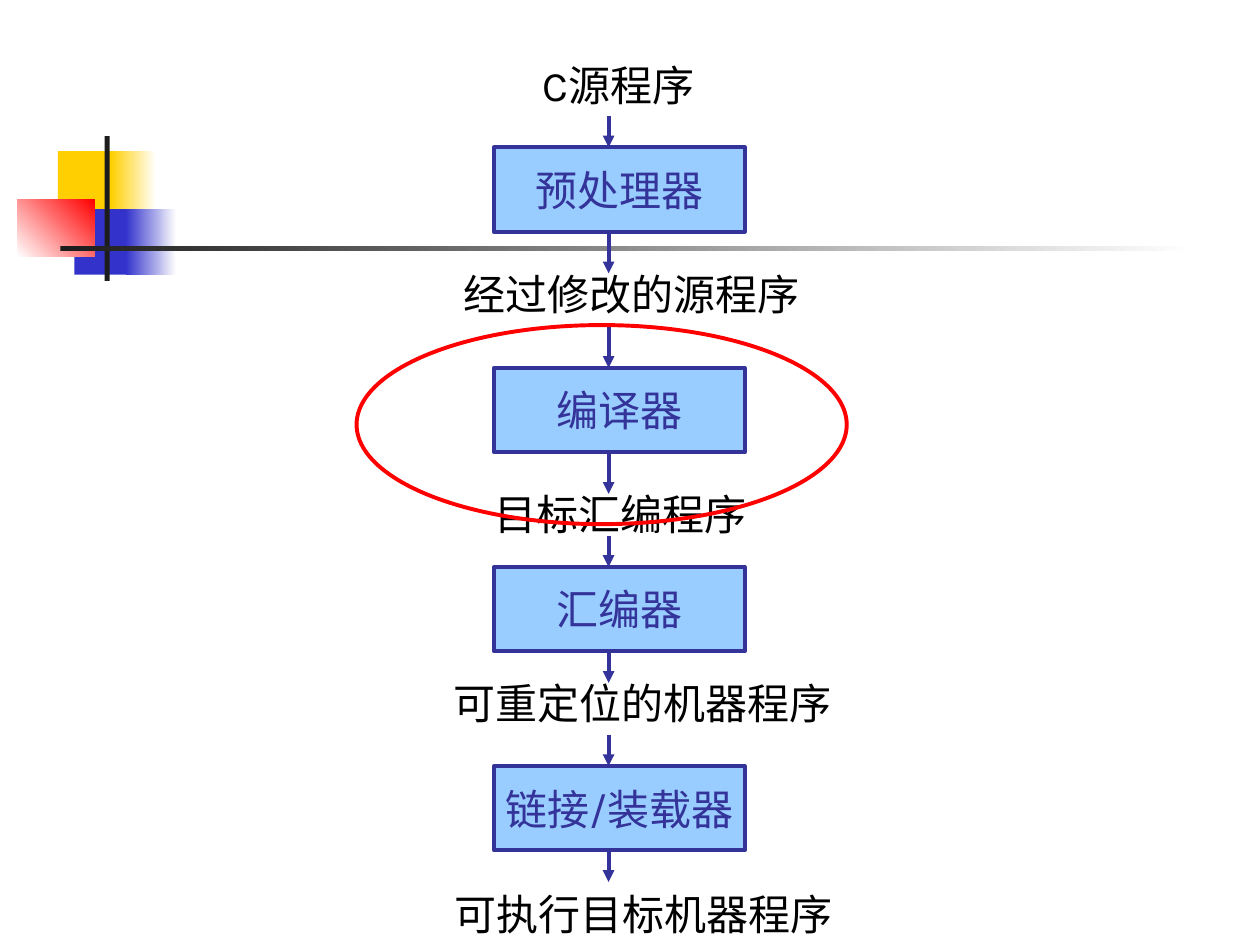
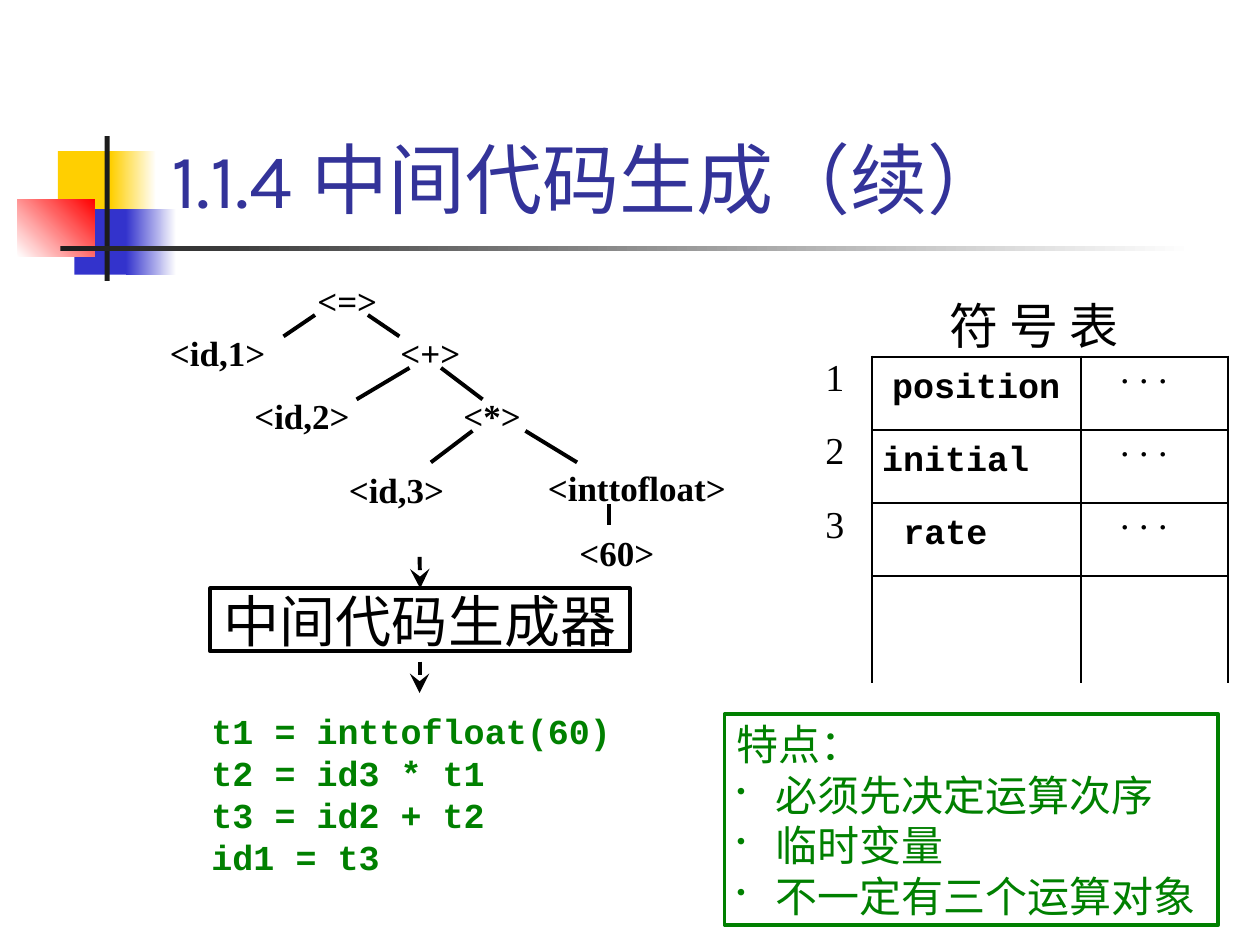
"""Build two slides on compilation: the tool chain and intermediate code generation."""
from lxml.etree import SubElement
from pptx import Presentation
from pptx.dml.color import RGBColor
from pptx.enum.shapes import MSO_CONNECTOR, MSO_SHAPE
from pptx.enum.text import MSO_ANCHOR, MSO_AUTO_SIZE, PP_ALIGN
from pptx.oxml.ns import qn
from pptx.util import Inches, Pt

rgb = RGBColor.from_string
NAVY, BLACK, WHITE, GREEN = "333399", "000000", "FFFFFF", "008000"
YELLOW, BLUE, RED, INK, SKY = "FFCF01", "3333CC", "FF0000", "1C1C1C", "99CCFF"
BODY, SERIF, MONO, HAN = "Karla", "Times New Roman", "Courier New", "Noto Sans CJK SC"


def write(tf, lines, font, size, color, bold=False, frame=None, para=None):
    """Fill a text frame with one paragraph per line."""
    for name, value in {"word_wrap": True, **(frame or {})}.items():
        setattr(tf, name, value)
    for i, line in enumerate(lines):
        p = tf.paragraphs[0] if i == 0 else tf.add_paragraph()
        for name, value in {"alignment": PP_ALIGN.LEFT, **(para or {})}.items():
            setattr(p, name, value)
        r = p.add_run()
        r.text = line
        for name, value in {"name": font, "size": Pt(size), "bold": bold}.items():
            setattr(r.font, name, value)
        r.font.color.rgb = rgb(color)
        SubElement(r.font._element, qn("a:ea"), typeface=font)


def draw_line(s, x1, y1, x2, y2, color, head=None, head_size="med"):
    """Draw a straight line, with an arrowhead at its end if one is named."""
    line = s.shapes.add_connector(MSO_CONNECTOR.STRAIGHT, *map(Inches, (x1, y1, x2, y2)))
    line.line.color.rgb = rgb(color)
    line.line.width = Pt(2.25)
    if head:
        SubElement(line.line._get_or_add_ln(), qn("a:tailEnd"),
                   type=head, w=head_size, len=head_size)
    SubElement(line._element.spPr, qn("a:effectLst"))
    return line


prs = Presentation()
prs.slide_width, prs.slide_height = Inches(10), Inches(7.5)
s = prs.slides.add_slide(prs.slide_layouts[6])

ornaments = [
    (0.46, 1.2, 0.48, 0.52, YELLOW, None, 0),
    (0.88, 1.2, 0.36, 0.52, YELLOW, WHITE, 0),
    (0.59, 1.66, 0.46, 0.52, BLUE, None, 0),
    (1, 1.66, 0.4, 0.52, BLUE, WHITE, 0),
    (0.14, 1.58, 0.61, 0.46, WHITE, RED, 45),
    (0.83, 1.08, 0.04, 1.15, INK, None, 0),
    (0.48, 1.95, 9, 0.04, INK, WHITE, 0),
]
for i, (x, y, w, h, start, end, angle) in enumerate(ornaments):
    sp = s.shapes.add_shape(MSO_SHAPE.RECTANGLE, *map(Inches, (x, y, w, h)))
    sp.shadow.inherit = False
    sp.line.fill.background()
    if end:
        sp.fill.gradient()
        sp.fill.gradient_angle = angle
        for stop, color in zip(sp.fill.gradient_stops, (start, end)):
            stop.color.rgb = rgb(color)
    else:
        sp.fill.solid()
        sp.fill.fore_color.rgb = rgb(start)
    sp._element.nvSpPr.cNvPr.id = 20 + i
    prs.slide_master.shapes._spTree.insert(2 + i, sp._element)

centred = {"alignment": PP_ALIGN.CENTER}
label_frame = {"vertical_anchor": MSO_ANCHOR.MIDDLE, "word_wrap": False}
programs = [
    ("C源程序", 4.21, 0.42, 1.49),
    ("经过修改的源程序", 3.58, 2.08, 2.95),
    ("目标汇编程序", 3.83, 3.83, 2.25),
    ("可重定位的机器程序", 3.5, 5.33, 3.25),
    ("可执行目标机器程序", 3.51, 7, 3.25),
]
for text, x, y, w in programs:
    sp = s.shapes.add_textbox(*map(Inches, (x, y, w, 0.5)))
    write(sp.text_frame, [text], BODY, 24, BLACK)

stages = [("预处理器", 1.17), ("编译器", 2.92), ("汇编器", 4.5), ("链接/装载器", 6.08)]
for text, y in stages:
    sp = s.shapes.add_shape(MSO_SHAPE.RECTANGLE, *map(Inches, (3.92, y, 1.99, 0.67)))
    sp.shadow.inherit = False
    sp.fill.solid()
    sp.fill.fore_color.rgb = rgb(SKY)
    sp.line.color.rgb = rgb(NAVY)
    sp.line.width = Pt(2.25)
    write(sp.text_frame, [text], BODY, 24, NAVY, frame=label_frame, para=centred)

for y1, y2 in [(0.92, 1.17), (1.83, 2.17), (2.58, 2.92), (3.58, 3.92),
               (4.25, 4.5), (5.17, 5.42), (5.83, 6.08), (6.75, 7)]:
    draw_line(s, 4.83, y1, 4.83, y2, NAVY, "triangle")

ring = s.shapes.add_shape(MSO_SHAPE.OVAL, *map(Inches, (2.83, 2.58, 3.89, 1.58)))
ring.shadow.inherit = False
ring.fill.background()
ring.line.color.rgb = rgb(RED)
ring.line.width = Pt(2.25)

s = prs.slides.add_slide(prs.slide_layouts[5])
title = s.shapes.title
title.left, title.top, title.width, title.height = map(Inches, (1.26, 0.23, 8.52, 1.6))
write(title.text_frame, ["1.1.4 中间代码生成（续）"], BODY, 44, NAVY,
      frame={"vertical_anchor": MSO_ANCHOR.BOTTOM, "auto_size": MSO_AUTO_SIZE.NONE})

nodes = [
    ("<=>", 2.42, 2.17, 0.75), ("<id,1>", 1.25, 2.58, 1.25), ("<+>", 3.08, 2.58, 0.75),
    ("<id,2>", 1.92, 3.08, 1.25), ("<*>", 3.58, 3.08, 0.75), ("<id,3>", 2.67, 3.67, 1.25),
    ("<inttofloat>", 4.25, 3.65, 2.5), ("<60>", 4.5, 4.17, 0.92),
]
for text, x, y, w in nodes:
    sp = s.shapes.add_textbox(*map(Inches, (x, y, w, 0.44)))
    write(sp.text_frame, [text], SERIF, 20, BLACK, True)

for edge in [(2.5, 2.5, 2.25, 2.67), (2.92, 2.5, 3.17, 2.67), (3.25, 2.92, 2.83, 3.17),
             (3.5, 2.92, 3.83, 3.17), (3.75, 3.42, 3.42, 3.67), (4.17, 3.42, 4.58, 3.67),
             (4.83, 4, 4.83, 4.17)]:
    draw_line(s, *edge, BLACK)

generator = s.shapes.add_shape(MSO_SHAPE.RECTANGLE, *map(Inches, (1.67, 4.67, 3.33, 0.5)))
features = s.shapes.add_shape(MSO_SHAPE.RECTANGLE, *map(Inches, (5.75, 5.67, 3.92, 1.67)))
for sp, color in [(generator, BLACK), (features, GREEN)]:
    sp.shadow.inherit = False
    sp.fill.background()
    sp.line.color.rgb = rgb(color)
    sp.line.width = Pt(2.25)
write(generator.text_frame, ["中间代码生成器"], HAN, 32, BLACK, frame=label_frame, para=centred)
write(features.text_frame, ["特点：", "必须先决定运算次序", "临时变量", "不一定有三个运算对象"],
      BODY, 24, GREEN, frame={"vertical_anchor": MSO_ANCHOR.MIDDLE})
for p in features.text_frame.paragraphs[1:]:
    pPr = p._p.get_or_add_pPr()
    pPr.set("marL", str(Inches(0.31)))
    pPr.set("indent", str(Inches(-0.31)))
    SubElement(SubElement(pPr, qn("a:buClr")), qn("a:srgbClr"), val=GREEN)
    SubElement(pPr, qn("a:buSzPct"), val="60000")
    SubElement(pPr, qn("a:buChar"), char="•")

draw_line(s, 3.33, 4.42, 3.33, 4.67, BLACK, "stealth", "lg").end_connect(generator, 0)
draw_line(s, 3.33, 5.25, 3.33, 5.5, BLACK, "stealth", "lg")

code = s.shapes.add_textbox(*map(Inches, (1.58, 5.58, 3.42, 1.44)))
write(code.text_frame, ["t1 = inttofloat(60)", "t2 = id3 * t1", "t3 = id2 + t2", "id1 = t3"],
      MONO, 20, GREEN, True, para={"line_spacing": Pt(24)})

heading = s.shapes.add_textbox(*map(Inches, (7.12, 2.3, 2.17, 0.6)))
write(heading.text_frame, ["符 号 表"], HAN, 28, BLACK, para=centred)

table = s.shapes.add_table(4, 2, *map(Inches, (6.92, 2.83, 2.83, 2.59))).table
table.first_row = table.horz_banding = False
for column, width in zip(table.columns, (1.66, 1.17)):
    column.width = Inches(width)
for row, height in zip(table.rows, (0.58, 0.58, 0.58, 0.85)):
    row.height = Inches(height)
    for cell in row.cells:
        tcPr = cell._tc.get_or_add_tcPr()
        for side in ("lnL", "lnR", "lnT", "lnB"):
            ln = SubElement(tcPr, qn(f"a:{side}"), w=str(Pt(1.25)))
            if side == "lnB" and height == 0.85:
                SubElement(ln, qn("a:noFill"))
            else:
                SubElement(SubElement(ln, qn("a:solidFill")), qn("a:srgbClr"), val=BLACK)
        cell.fill.background()

tight = {"line_spacing": 0.8}
for i, (symbol, inset) in enumerate([("position", 0.16), ("initial", 0.08), ("rate", 0.25)]):
    name, detail = table.rows[i].cells
    name.margin_left, name.margin_top = Inches(inset), Inches(0.1)
    detail.margin_left, detail.margin_top = Inches(0.31), 0
    write(name.text_frame, [symbol], MONO, 20, BLACK, True)
    write(detail.text_frame, [". . ."], SERIF, 21.7, BLACK, para=tight)
    number = s.shapes.add_textbox(*map(Inches, (6.25, 2.83 + 0.58 * i, 0.75, 0.5)))
    write(number.text_frame, [str(i + 1)], SERIF, 21.7, BLACK, para={**tight, **centred})

prs.save("out.pptx")
